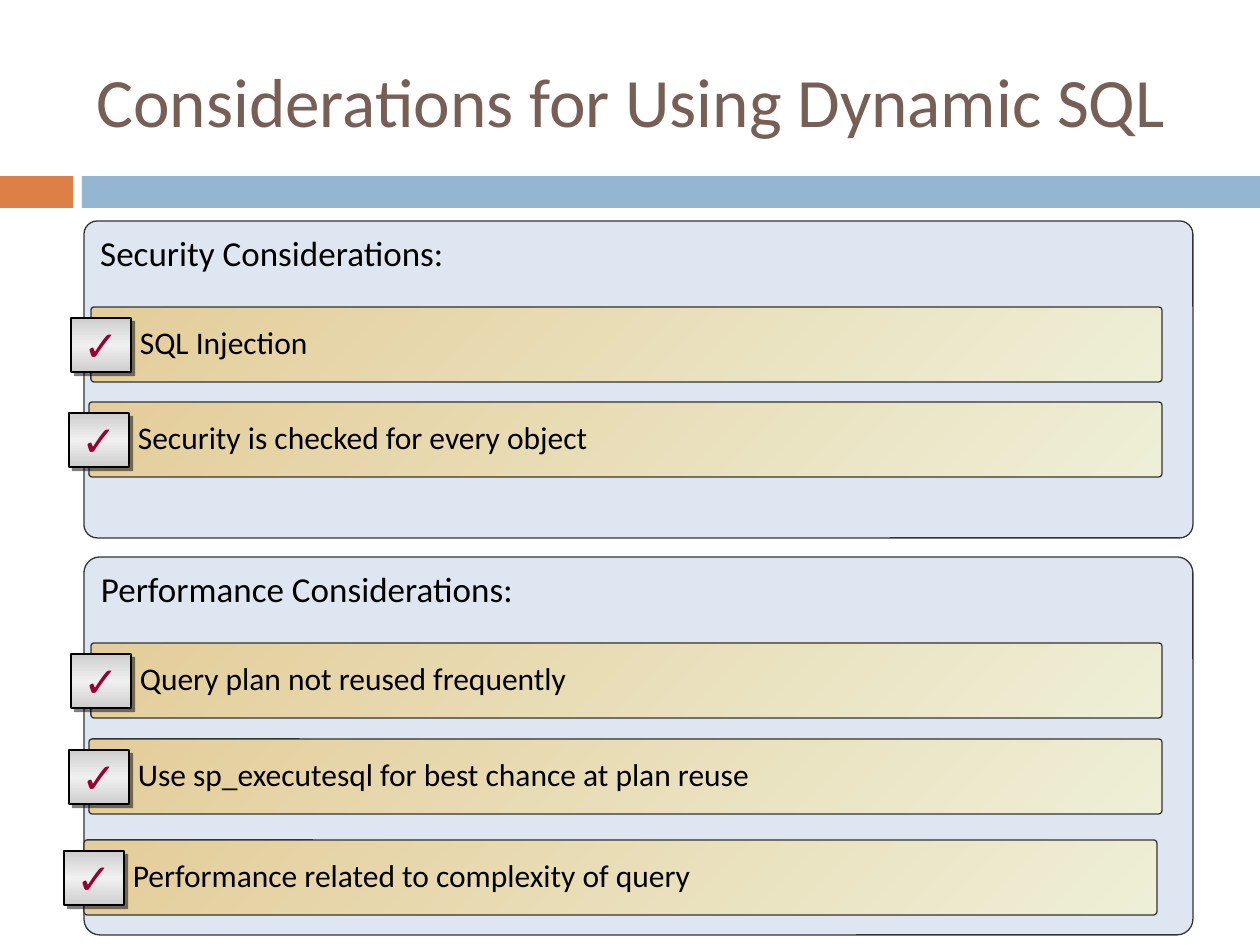
from typing import NamedTuple

import pptx
import pptx.dml.color
import pptx.enum.shapes
import pptx.enum.text
import pptx.oxml.ns
import pptx.util
from lxml import etree

SCALE = 914400 / 126  # EMU per px
COLORS = {
    "title": "775F55", "accent": "DD8047", "band": "94B6D2",
    "card": "DEE7F1", "outline": "333333", "ink": "000000",
    "sand": "E4CD9A", "cream": "EEEFD7",
    "silver": "CECECE", "shine": "F0F0F0", "check": "990033",
}
ROUND = 0.042
SHAPES = pptx.enum.shapes.MSO_SHAPE
ANCHOR = pptx.enum.text.MSO_ANCHOR
ALIGN = pptx.enum.text.PP_ALIGN
qn = pptx.oxml.ns.qn


class Row(NamedTuple):
    text: str
    left: int
    top: int
    width: int


class Card(NamedTuple):
    heading: str
    top: int
    height: int
    rows: tuple[Row, ...]


CARDS = (
    Card("Security Considerations:", 221, 317, (
        Row("SQL Injection", 91, 307, 1071),
        Row("Security is checked for every object", 89, 402, 1073),
    )),
    Card("Performance Considerations:", 557, 378, (
        Row("Query plan not reused frequently", 91, 643, 1071),
        Row("Use sp_executesql for best chance at plan reuse", 89, 739, 1073),
        Row("Performance related to complexity of query", 84, 840, 1073),
    )),
)


def px(length: float) -> int:
    return round(length * SCALE)


def rgb(name: str):
    return pptx.dml.color.RGBColor.from_string(COLORS[name])


def write(shape, text: str, *, size: float, color: str = "ink", font: str = "Calibri",
          anchor=ANCHOR.MIDDLE, align=ALIGN.LEFT, inset: int | None = None,
          wrap: bool = True, spacing: float | None = None) -> None:
    frame = shape.text_frame
    frame.word_wrap = wrap
    frame.vertical_anchor = anchor
    if inset is not None:
        frame.margin_left = px(inset)
    para = frame.paragraphs[0]
    para.alignment = align
    para.line_spacing = spacing
    span = para.add_run()
    span.text = text
    span.font.name = font
    span.font.size = pptx.util.Pt(size)
    span.font.color.rgb = rgb(color)


def add_box(page, left: int, top: int, width: int, height: int, fills: tuple[str, ...], *,
            angle: int = 0, line: str | None = None, corner: float | None = None):
    """Add a rectangle; several fills make an even gradient, angle clockwise."""
    kind = SHAPES.RECTANGLE if corner is None else SHAPES.ROUNDED_RECTANGLE
    box = page.shapes.add_shape(kind, px(left), px(top), px(width), px(height))
    box.shadow.inherit = False
    if corner is not None:
        box.adjustments[0] = corner
    if len(fills) == 1:
        box.fill.solid()
        box.fill.fore_color.rgb = rgb(fills[0])
    else:
        box.fill.gradient()
        box.fill.gradient_angle = 360 - angle
        stops = box.element.spPr.find(".//" + qn("a:gsLst"))
        for stop in list(stops):
            stops.remove(stop)
        for index, name in enumerate(fills):
            position = str(100000 * index // (len(fills) - 1))
            stop = etree.SubElement(stops, qn("a:gs"), pos=position)
            etree.SubElement(stop, qn("a:srgbClr"), val=COLORS[name])
    if line is None:
        box.line.fill.background()
    else:
        box.line.color.rgb = rgb(line)
        box.line.width = pptx.util.Pt(0.75)
    return box


def add_shadow(box) -> None:
    effects = box.element.spPr.find(qn("a:effectLst"))
    shadow = etree.SubElement(effects, qn("a:outerShdw"), blurRad="0",
                              dist=str(pptx.util.Pt(2.8)), dir=str(45 * 60000),
                              algn="ctr", rotWithShape="0")
    color = etree.SubElement(shadow, qn("a:srgbClr"), val=COLORS["ink"])
    etree.SubElement(color, qn("a:alpha"), val="50000")


def add_row(page, row: Row) -> None:
    bar = add_box(page, row.left, row.top, row.width, 75, ("sand", "cream"),
                  angle=45, line="outline", corner=ROUND)
    write(bar, row.text, size=18, inset=48, spacing=0.9)
    tick = add_box(page, row.left - 20, row.top + 11, 60, 54, ("silver", "shine", "silver"),
                   angle=90, line="ink", corner=0)
    add_shadow(tick)
    write(tick, "✓", size=24, font="Arial", color="check", align=ALIGN.CENTER, wrap=False)


def add_card(page, card: Card) -> None:
    panel = add_box(page, 84, card.top, 1109, card.height, ("card",),
                    line="outline", corner=ROUND)
    write(panel, card.heading, size=20, anchor=ANCHOR.TOP)
    for row in card.rows:
        add_row(page, row)


def main() -> None:
    deck = pptx.Presentation()
    deck.slide_width, deck.slide_height = px(1260), px(945)
    page = deck.slides.add_slide(deck.slide_layouts[6])

    # Header band and title
    add_box(page, 0, 176, 73, 32, ("accent",))
    add_box(page, 82, 176, 1178, 32, ("band",))
    title = page.shapes.add_textbox(px(84), px(32), px(1124), px(136))
    write(title, "Considerations for Using Dynamic SQL", size=39.6, color="title")

    # Cards with checked rows
    for card in CARDS:
        add_card(page, card)

    deck.save("out.pptx")


if __name__ == "__main__":
    main()
